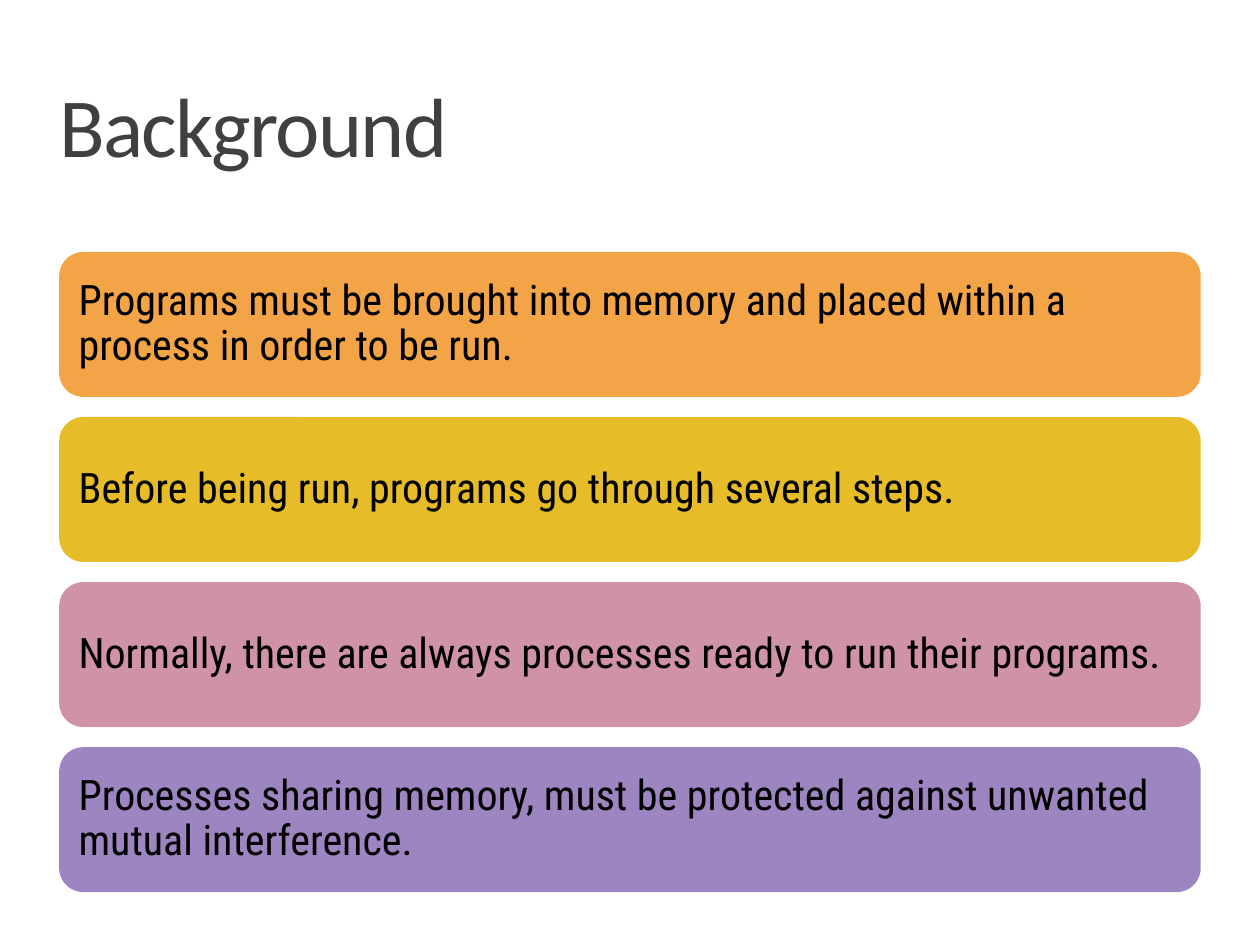
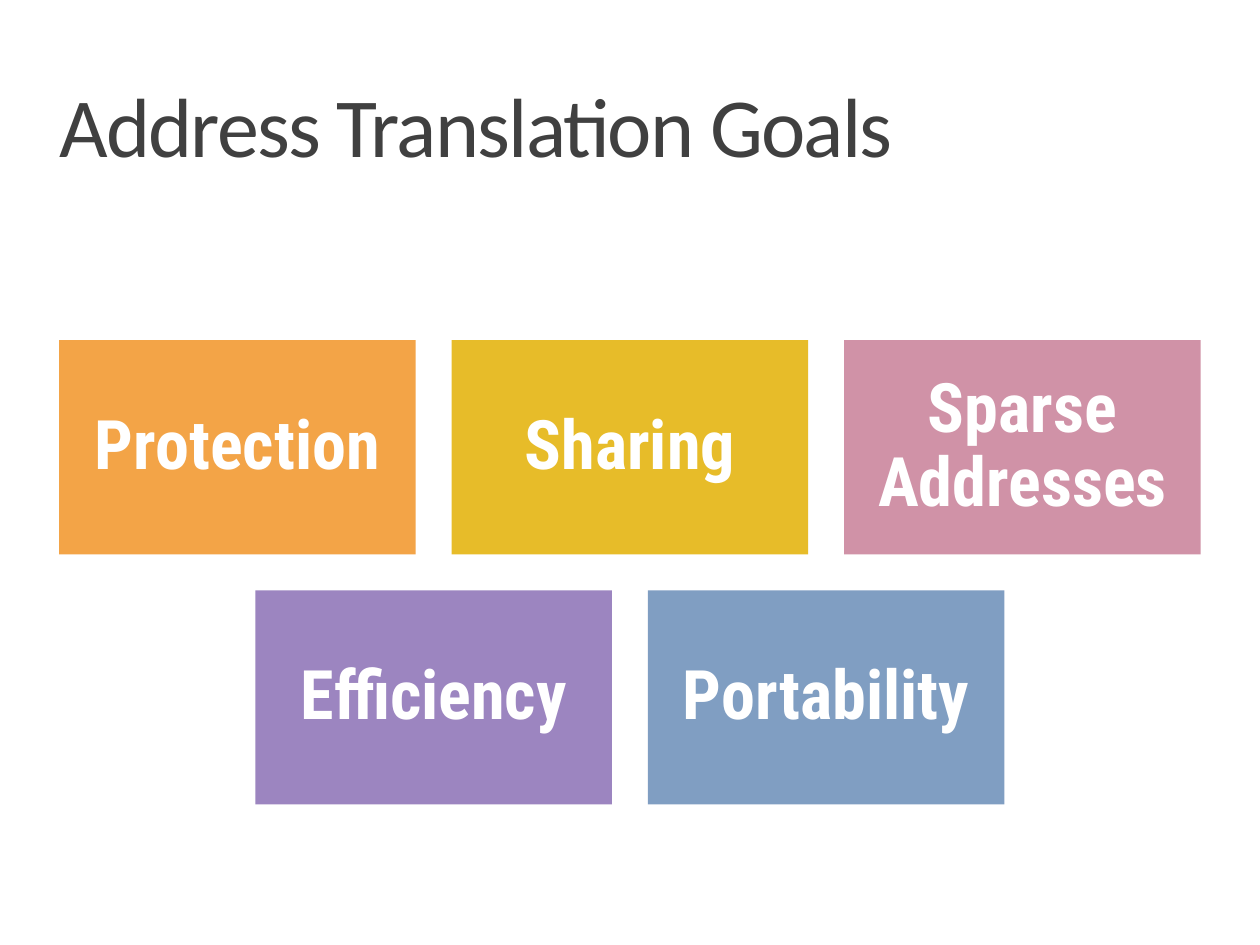
from pptx import Presentation
from pptx.dml.color import RGBColor
from pptx.enum.shapes import MSO_SHAPE
from pptx.enum.text import MSO_ANCHOR, MSO_AUTO_SIZE, PP_ALIGN
from pptx.util import Inches, Pt

# Shared colours and measures
ORANGE = RGBColor(0xF3, 0xA4, 0x47)
GOLD = RGBColor(0xE7, 0xBC, 0x29)
ROSE = RGBColor(0xD0, 0x92, 0xA7)
PURPLE = RGBColor(0x9C, 0x85, 0xC0)
BLUE = RGBColor(0x80, 0x9E, 0xC2)
GREY = RGBColor(0x40, 0x40, 0x40)
BLACK = RGBColor(0, 0, 0)
WHITE = RGBColor(0xFF, 0xFF, 0xFF)
FILLS = [ORANGE, GOLD, ROSE, PURPLE, BLUE]
LEFT, WIDTH = 0.47, 9.06

# Text styles: font values, line spacing, alignment, anchor, insets
HEAD = dict(font=dict(name="Calibri", size=Pt(48), bold=False), color=GREY,
            line=0.8, align=PP_ALIGN.LEFT, anchor=MSO_ANCHOR.TOP,
            pads=(0, 0.04, 0, 0))
BAR = dict(font=dict(name="Roboto Condensed", size=Pt(24)), color=BLACK,
           line=0.9, align=PP_ALIGN.LEFT, anchor=MSO_ANCHOR.MIDDLE,
           pads=(0.1,) * 4)
TILE = dict(font=dict(name="Roboto Condensed", size=Pt(39), bold=True),
            color=WHITE, line=0.9, align=PP_ALIGN.CENTER,
            anchor=MSO_ANCHOR.MIDDLE, pads=(0.16,) * 4)


class Deck:
    def __init__(self):
        self.prs = Presentation()
        self.prs.slide_width = Inches(10)
        self.prs.slide_height = Inches(7.5)
        self.slide = None

    def page(self, title):
        self.slide = self.prs.slides.add_slide(self.prs.slide_layouts[5])
        head = self.slide.shapes.title
        box = dict(left=LEFT, top=0.7, width=WIDTH, height=1.28)
        for key, value in box.items():
            setattr(head, key, Inches(value))
        run = self.label(head, title, HEAD)
        run._r.get_or_add_rPr().set("spc", "-100")  # tighten letters by 1 pt

    def label(self, shape, text, style):
        frame = shape.text_frame
        values = dict(word_wrap=True, auto_size=MSO_AUTO_SIZE.NONE,
                      vertical_anchor=style["anchor"])
        for key, value in values.items():
            setattr(frame, key, value)
        for side, pad in zip(("left", "top", "right", "bottom"), style["pads"]):
            setattr(frame, f"margin_{side}", Inches(pad))
        para = frame.paragraphs[0]
        para.alignment = style["align"]
        para.line_spacing = style["line"]
        run = para.add_run()
        run.text = text
        for key, value in style["font"].items():
            setattr(run.font, key, value)
        run.font.color.rgb = style["color"]
        return run

    def block(self, kind, at, fill, text, style):
        shape = self.slide.shapes.add_shape(kind, *map(Inches, at))
        shape.shadow.inherit = False
        shape.fill.solid()
        shape.fill.fore_color.rgb = fill
        shape.line.fill.background()
        self.label(shape, text, style)


def main():
    deck = Deck()

    # Background: stacked bars
    deck.page("Background")
    facts = [
        "Programs must be brought into memory and placed within a process "
        "in order to be run.",
        "Before being run, programs go through several steps.",
        "Normally, there are always processes ready to run their programs.",
        "Processes sharing memory, must be protected against unwanted "
        "mutual interference.",
    ]
    for row, (fact, fill) in enumerate(zip(facts, FILLS)):
        at = (LEFT, 2 + row * 1.31, WIDTH, 1.15)
        deck.block(MSO_SHAPE.ROUNDED_RECTANGLE, at, fill, fact, BAR)

    # Goals: rows of tiles, each row centred
    deck.page("Address Translation Goals")
    rows = [["Protection", "Sharing", "Sparse Addresses"],
            ["Efficiency", "Portability"]]
    wide, high = 2.83, 1.7
    gap = (WIDTH - 3 * wide) / 2
    fills = iter(FILLS)
    for row, goals in enumerate(rows):
        span = len(goals) * (wide + gap) - gap
        start = LEFT + (WIDTH - span) / 2
        for col, goal in enumerate(goals):
            at = (start + col * (wide + gap), 2.7 + row * (high + gap),
                  wide, high)
            deck.block(MSO_SHAPE.RECTANGLE, at, next(fills), goal, TILE)

    deck.prs.save("out.pptx")


if __name__ == "__main__":
    main()
